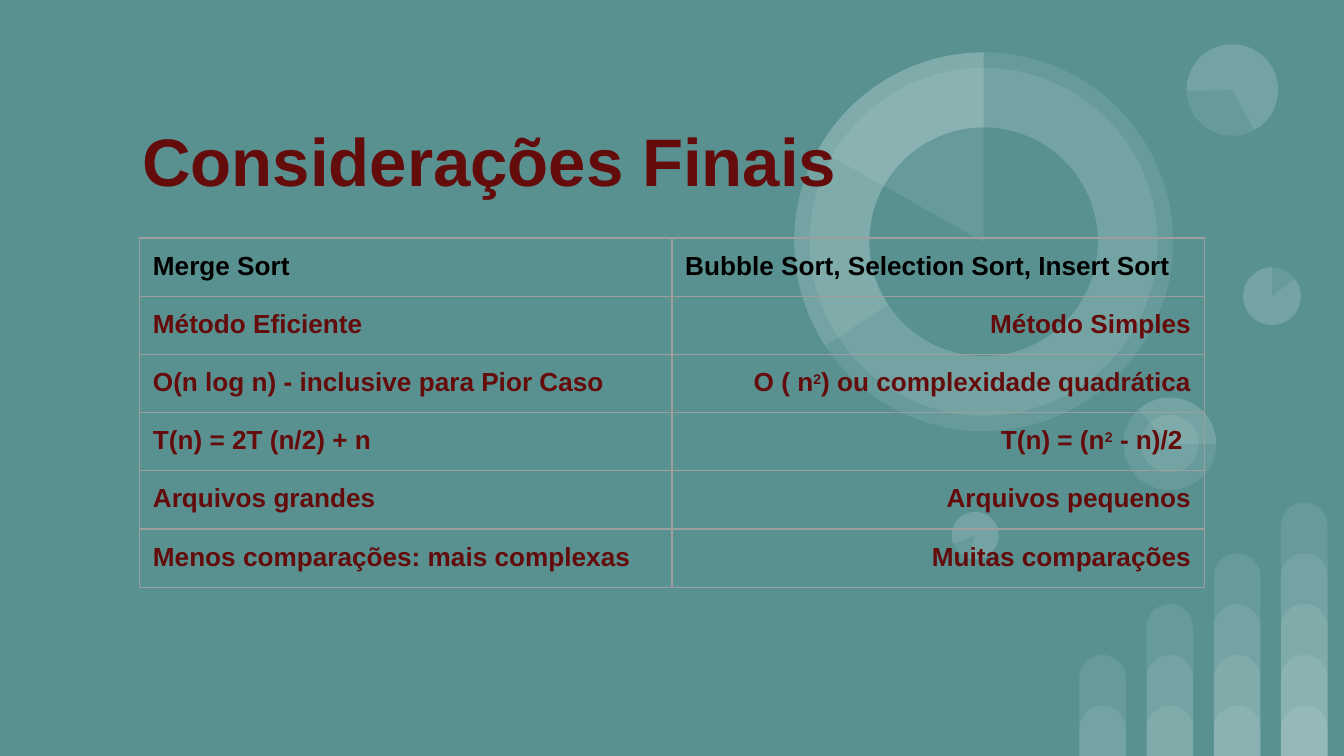
from lxml.etree import SubElement
from pptx import Presentation
from pptx.dml.color import RGBColor
from pptx.enum.shapes import MSO_SHAPE
from pptx.enum.text import PP_ALIGN
from pptx.oxml.ns import qn
from pptx.util import Cm, Pt

BACK, WHITE, RED, BLACK, GRAY = "599191", "FFFFFF", "640C0C", "000000", "9E9E9E"
WIDE, HIGH = 25.4, 14.29
PAD = 0.25

# centre x, centre y, diameter, turn, pie angles (None for a full disc), colour
DISCS = [
    (24.04, 5.6, 1.09, 0, None, WHITE),
    (24.04, 5.6, 1.09, 0, (322.95, 270), WHITE),
    (18.43, 10.12, 0.89, 196.2, None, WHITE),
    (18.43, 10.12, 0.89, 196.2, (322.95, 270), WHITE),
    (22.11, 8.39, 1.75, 90, None, WHITE),
    (22.11, 8.39, 1.75, 90, (137.41, 270.77), WHITE),
    (22.11, 8.39, 1.09, 90, None, WHITE),
    (23.29, 1.7, 1.73, 215.9, None, WHITE),
    (23.29, 1.7, 1.73, 215.9, (322.95, 205.23), WHITE),
    (18.59, 4.57, 7.16, 0, None, WHITE),
    (18.59, 4.57, 6.58, 34.1, None, WHITE),
    (18.59, 4.57, 7.16, 0, (146.69, 270), WHITE),
    (18.59, 4.57, 4.32, 34.1, None, BACK),
    (18.59, 4.57, 7.16, 0, (209.24, 270), WHITE),
]

# a ^ stands on each side of a superscript
ROWS = [
    ("Merge Sort", "Bubble Sort, Selection Sort, Insert Sort"),
    ("Método Eficiente", "Método Simples"),
    ("O(n log n) - inclusive para Pior Caso",
     "O ( n^2^) ou complexidade quadrática"),
    ("T(n) = 2T (n/2) + n", "T(n) = (n^2^ - n)/2"),
    ("Arquivos grandes", "Arquivos pequenos"),
    ("Menos comparações: mais complexas", "Muitas comparações"),
]


def color(code):
    return RGBColor.from_string(code)


def apply(target, **values):
    for name, value in values.items():
        setattr(target, name, value)


def add_form(slide, kind, box, code, adjust=(), turn=0):
    """Add a borderless shape; white ones are nearly clear."""
    form = slide.shapes.add_shape(kind, *map(Cm, box))
    form.shadow.inherit = False
    form.rotation = turn
    for i, value in enumerate(adjust):
        form.adjustments[i] = value
    form.line.fill.background()
    form.fill.solid()
    form.fill.fore_color.rgb = color(code)
    if code == WHITE:
        tint = form.fill._xPr.find(qn("a:solidFill"))[0]
        SubElement(tint, qn("a:alpha"), val="9000")


def add_bars(slide):
    for col in range(4):
        for level in range(col + 2):
            tall = 0.95 + 0.96 * level
            box = (20.4 + 1.27 * col, HIGH - tall, 0.88, tall)
            add_form(slide, MSO_SHAPE.ROUND_2_SAME_RECTANGLE, box, WHITE, (0.5, 0))


def add_discs(slide):
    for x, y, size, turn, angles, code in DISCS:
        kind = MSO_SHAPE.PIE if angles else MSO_SHAPE.OVAL
        # pie adjustments count 60000 per degree, scaled by 100000
        adjust = [angle * 0.6 for angle in angles or ()]
        box = (x - size / 2, y - size / 2, size, size)
        add_form(slide, kind, box, code, adjust, turn)


def write(frame, text, size, code, align=PP_ALIGN.LEFT):
    para = frame.paragraphs[0]
    para.alignment = align
    for i, part in enumerate(text.split("^")):
        run = para.add_run()
        run.text = part
        raised = i % 2
        apply(run.font, name="Arial", bold=True, size=Pt(size - raised))
        run.font.color.rgb = color(code)
        if raised:
            run._r.get_or_add_rPr().set("baseline", "30000")


def add_title(slide):
    box = slide.shapes.add_textbox(Cm(2.44), Cm(2), Cm(19.33), Cm(3.58))
    frame = box.text_frame
    apply(frame, word_wrap=True, margin_left=Cm(PAD), margin_right=Cm(PAD),
          margin_top=Cm(PAD), margin_bottom=Cm(PAD))
    write(frame, "Considerações Finais", 36, RED)


def add_edges(cell):
    props = cell._tc.get_or_add_tcPr()
    for side in ("lnL", "lnR", "lnT", "lnB"):
        edge = SubElement(props, qn("a:" + side), w=str(Pt(0.75)))
        fill = SubElement(edge, qn("a:solidFill"))
        SubElement(fill, qn("a:srgbClr"), val=GRAY)


def add_grid(slide):
    table = slide.shapes.add_table(
        len(ROWS), 2, Cm(2.64), Cm(4.5), Cm(20.12), Cm(6.6)).table
    apply(table, first_row=False, horz_banding=False)
    for r, row in enumerate(ROWS):
        for c, text in enumerate(row):
            cell = table.cell(r, c)
            # the formula sits a little further in
            right = 0.41 if (r, c) == (3, 1) else PAD
            apply(cell, margin_left=Cm(PAD), margin_right=Cm(right),
                  margin_top=Cm(PAD), margin_bottom=Cm(PAD))
            add_edges(cell)
            cell.fill.background()
            align = PP_ALIGN.RIGHT if r and c else PP_ALIGN.LEFT
            write(cell.text_frame, text, 14, RED if r else BLACK, align)


def main():
    deck = Presentation()
    apply(deck, slide_width=Cm(WIDE), slide_height=Cm(HIGH))
    slide = deck.slides.add_slide(deck.slide_layouts[6])
    fill = slide.background.fill
    fill.solid()
    fill.fore_color.rgb = color(BACK)
    add_bars(slide)
    add_discs(slide)
    add_title(slide)
    add_grid(slide)
    deck.save("out.pptx")


if __name__ == "__main__":
    main()
